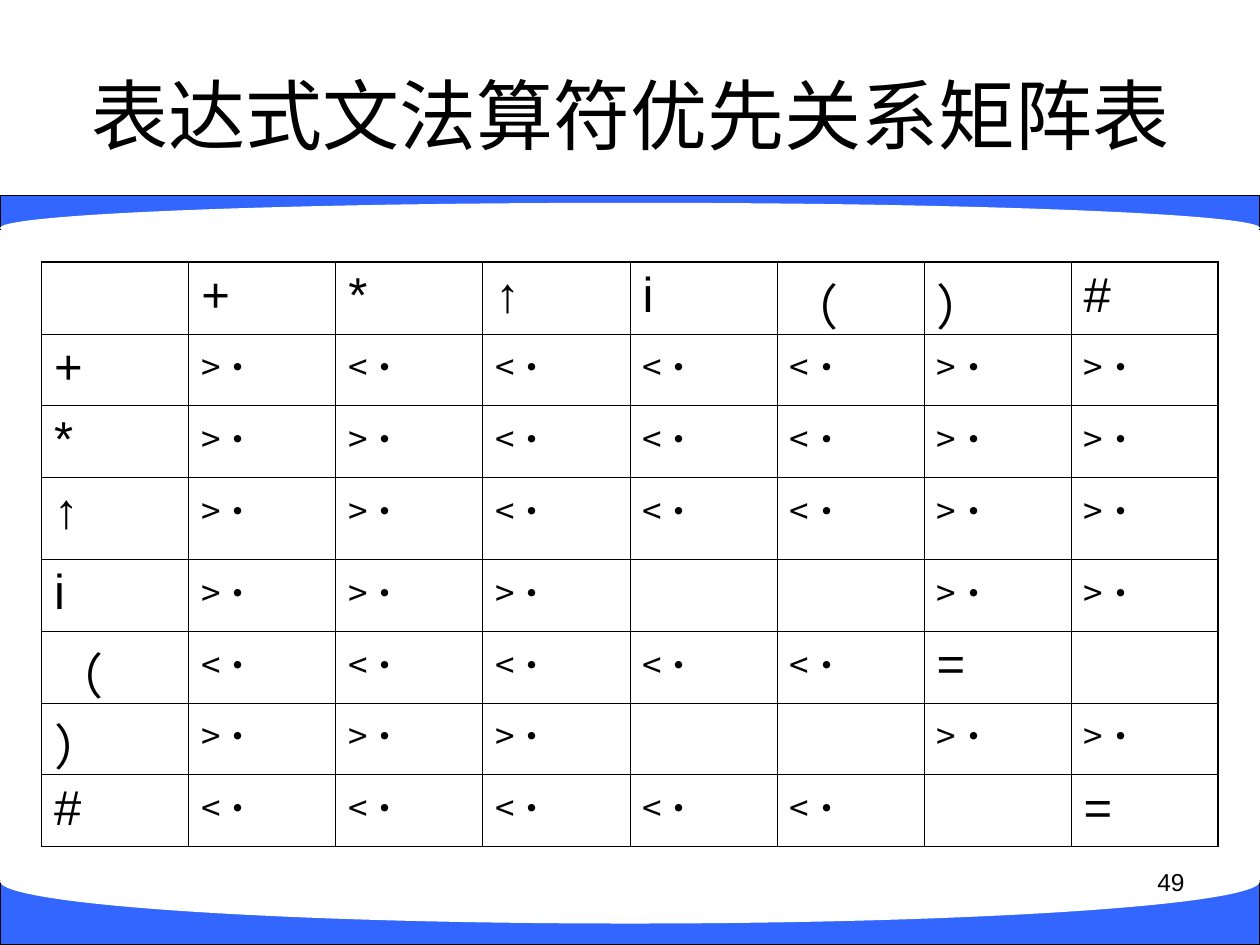
from lxml.etree import SubElement
from pptx import Presentation
from pptx.dml.color import RGBColor
from pptx.enum.shapes import MSO_SHAPE as Shape
from pptx.enum.text import MSO_ANCHOR as Anchor, PP_ALIGN as Align
from pptx.oxml.ns import qn
from pptx.util import Pt

BLACK, WHITE, BLUE = "000000", "FFFFFF", "3366FF"
LATIN, CJK = "Arial", "Noto Sans CJK SC"
SYMBOLS = "+*↑i（）#"
# One row per left-hand symbol, one mark per right-hand symbol
PRECEDENCE = [
    "><<<<>>",
    ">><<<>>",
    ">><<<>>",
    ">>>  >>",
    "<<<<<= ",
    ">>>  >>",
    "<<<<< =",
]
SYMBOL_FORMAT = {"name": LATIN, "size": Pt(28)}
RELATION_FORMAT = {"name": CJK, "size": Pt(20)}
LEFT, TOP, COLUMN_WIDTH = 23.76, 149.76, 84.06
ROW_HEIGHT, ARROW_ROW_HEIGHT = 41.04, 46.8


def rgb(value):
    return RGBColor.from_string(value)


def write(frame, text, font_format, align=Align.LEFT):
    paragraph = frame.paragraphs[0]
    paragraph.alignment = align
    run = paragraph.add_run()
    run.text = text
    for name, value in font_format.items():
        setattr(run.font, name, value)
    run.font.color.rgb = rgb(BLACK)
    SubElement(run.font._element, qn("a:ea"), typeface=CJK)


def place(element, left, top, width, height):
    bounds = {"left": left, "top": top, "width": width, "height": height}
    for name, value in bounds.items():
        setattr(element, name, Pt(value))


def add_band(slide, band_top, band_height, curve_top, curve_height):
    """Blue strip across the slide, cut to a curve by a white ellipse."""
    group = slide.shapes.add_group_shape()
    parts = [
        (Shape.RECTANGLE, band_top, band_height, BLUE),
        (Shape.OVAL, curve_top, curve_height, WHITE),
    ]
    for kind, top, height, color in parts:
        part = group.shapes.add_shape(kind, 0, Pt(top), Pt(720), Pt(height))
        part.shadow.inherit = False
        part.fill.solid()
        part.fill.fore_color.rgb = rgb(color)
        if kind == Shape.RECTANGLE:
            part.line.color.rgb = rgb(BLACK)
            part.line.width = Pt(0.75)
        else:
            part.line.fill.background()


def add_title(slide, text):
    title = slide.shapes.title
    place(title, 36.72, 20.16, 648, 90)
    title.text_frame.vertical_anchor = Anchor.MIDDLE
    write(title.text_frame, text, {"name": LATIN, "size": Pt(44)}, Align.CENTER)


def add_page_number(slide, number):
    box = slide.shapes.add_textbox(Pt(516.24), Pt(491.76), Pt(167.76), Pt(37.44))
    box.text_frame.word_wrap = True
    write(box.text_frame, number, {"name": LATIN, "size": Pt(14)}, Align.RIGHT)


def set_borders(cell, outer_sides):
    properties = cell._tc.get_or_add_tcPr()
    for side, is_outer in outer_sides.items():
        width = Pt(1.08 if is_outer else 0.45)
        line = SubElement(properties, qn(f"a:ln{side}"), w=str(width))
        fill = SubElement(line, qn("a:solidFill"))
        SubElement(fill, qn("a:srgbClr"), val=BLACK)


def add_precedence_table(slide):
    rows = [" " + SYMBOLS]
    rows += [symbol + marks for symbol, marks in zip(SYMBOLS, PRECEDENCE)]
    count = len(rows)
    table = slide.shapes.add_table(
        count, count, Pt(LEFT), Pt(TOP),
        Pt(COLUMN_WIDTH * count), Pt(ROW_HEIGHT * count),
    ).table
    table.first_row = table.horz_banding = False
    for column in table.columns:
        column.width = Pt(COLUMN_WIDTH)
    last = count - 1
    for r, marks in enumerate(rows):
        is_arrow = marks[0] == "↑"
        table.rows[r].height = Pt(ARROW_ROW_HEIGHT if is_arrow else ROW_HEIGHT)
        for c, mark in enumerate(marks):
            cell = table.cell(r, c)
            set_borders(cell, {"L": c == 0, "R": c == last,
                               "T": r == 0, "B": r == last})
            cell.fill.background()
            if mark in "<>":
                write(cell.text_frame, mark + "·", RELATION_FORMAT)
            elif mark != " ":
                write(cell.text_frame, mark, SYMBOL_FORMAT)


def main():
    deck = Presentation()
    deck.slide_width, deck.slide_height = Pt(720), Pt(540)
    slide = deck.slides.add_slide(deck.slide_layouts[5])
    add_band(slide, 111.6, 19.44, 115.92, 28.8)
    add_band(slide, 503.28, 36.72, 479.52, 48.24)
    add_title(slide, "表达式文法算符优先关系矩阵表")
    add_page_number(slide, "49")
    add_precedence_table(slide)
    deck.save("out.pptx")


if __name__ == "__main__":
    main()
